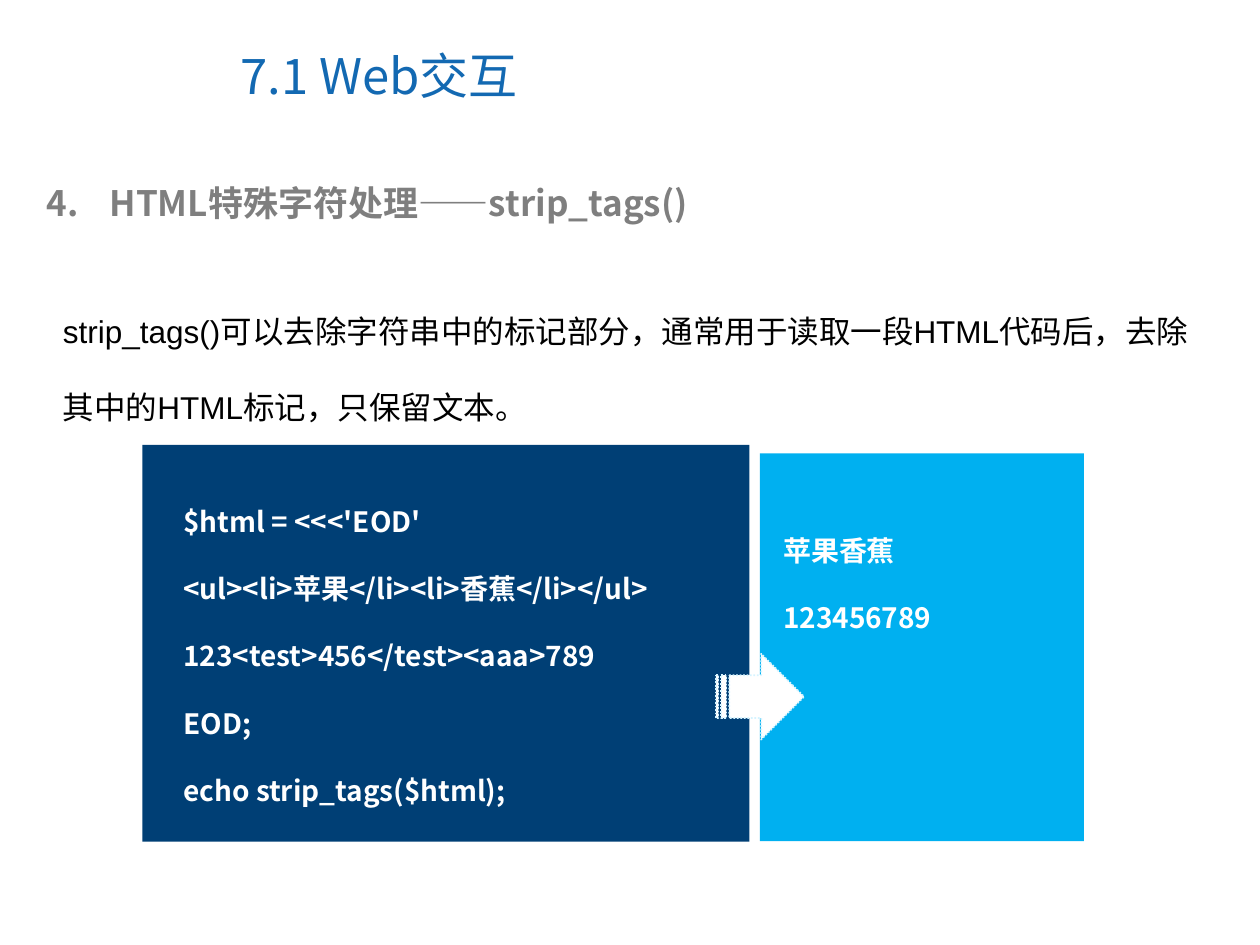
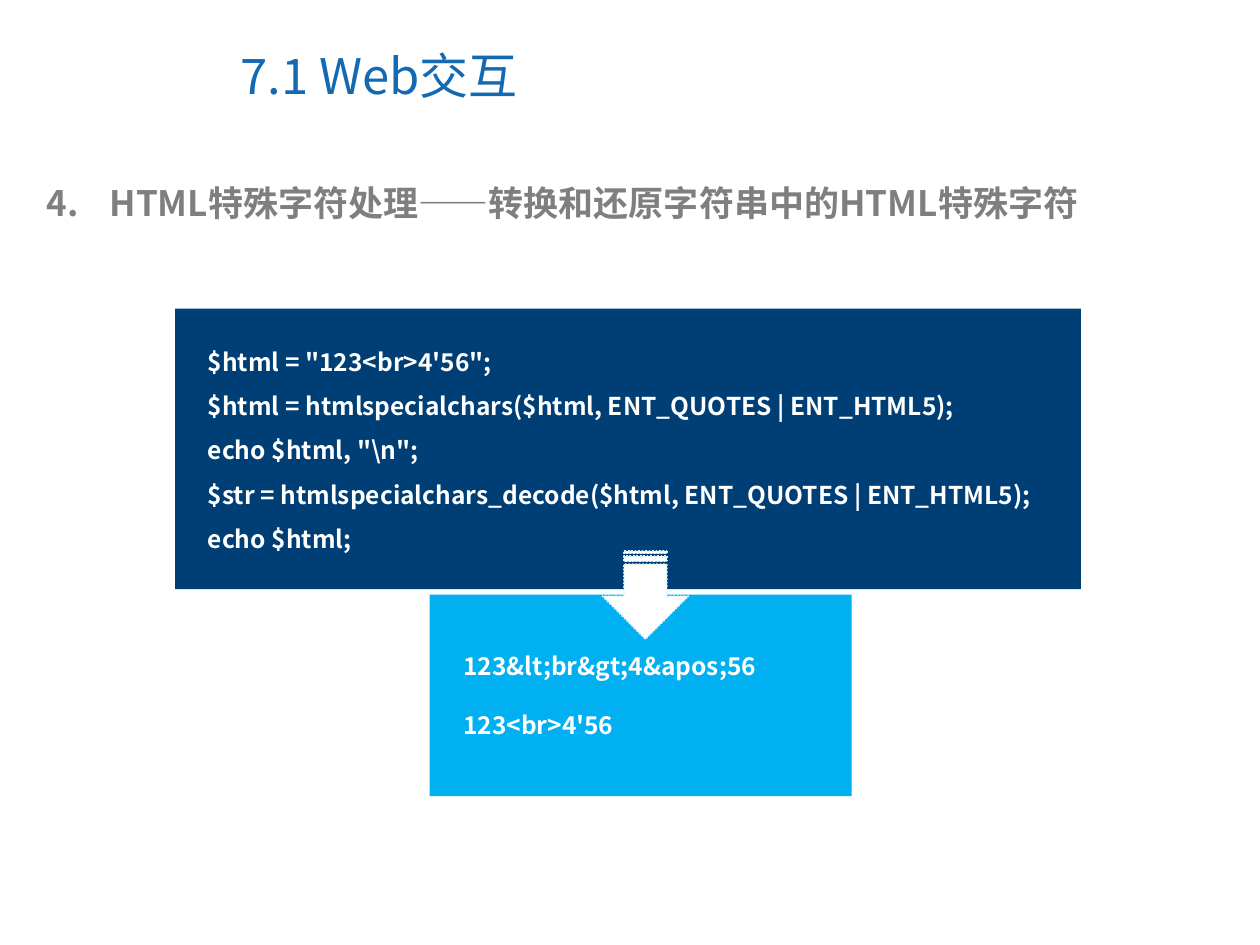
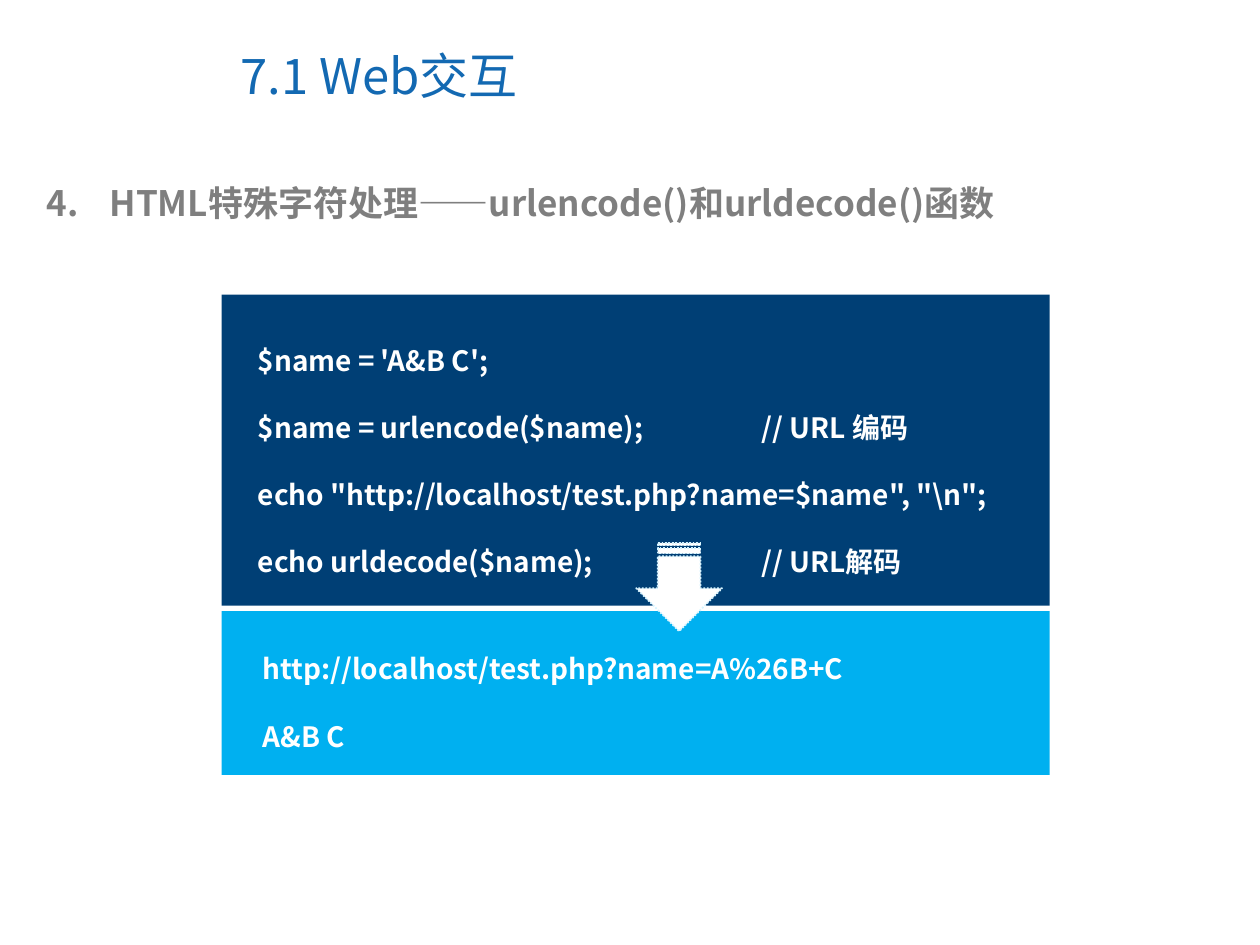
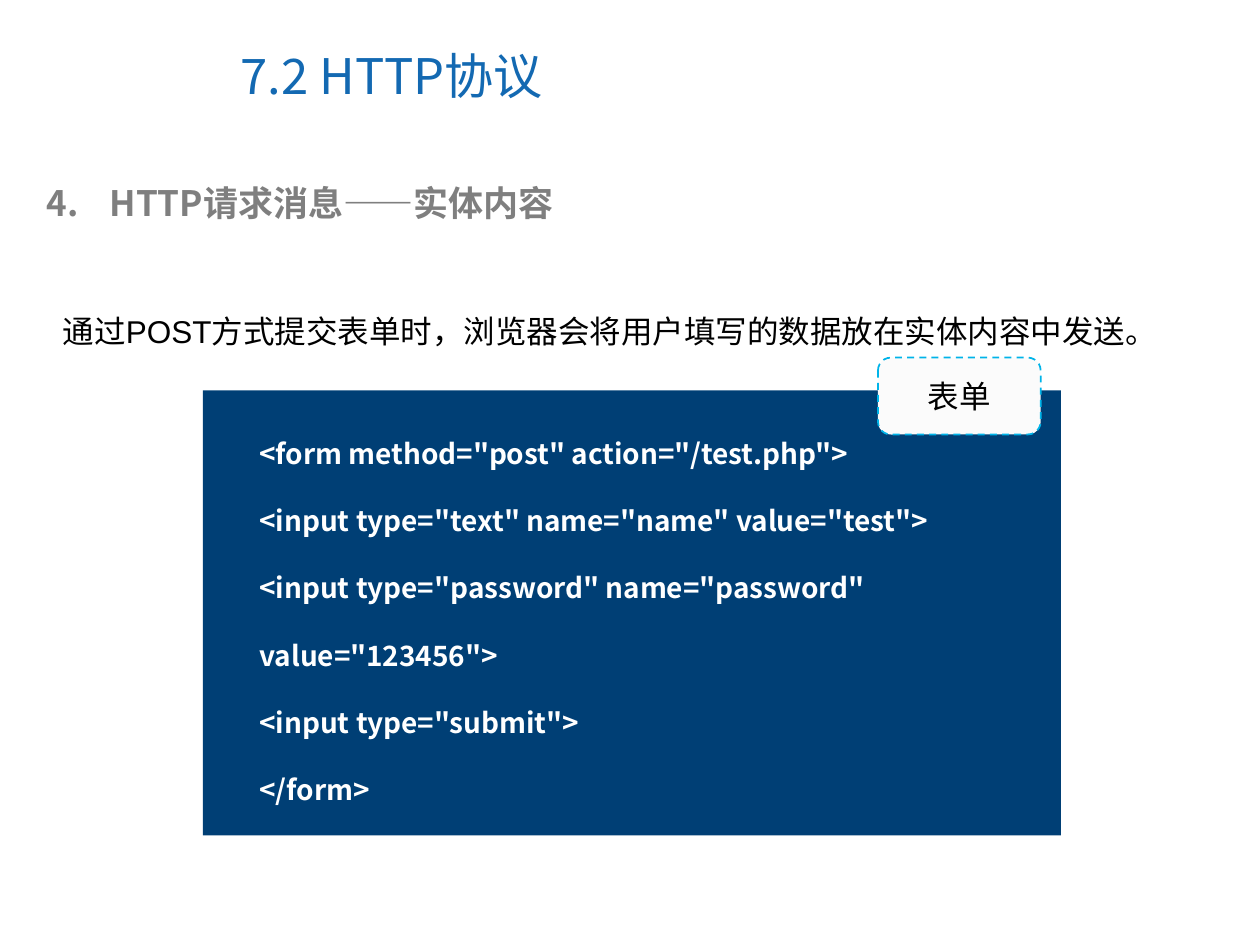
from dataclasses import dataclass
from typing import Optional

from lxml import etree
from pptx import Presentation
from pptx.dml.color import RGBColor
from pptx.enum.dml import MSO_LINE
from pptx.enum.shapes import MSO_SHAPE
from pptx.enum.text import MSO_ANCHOR, MSO_AUTO_SIZE, PP_ALIGN
from pptx.oxml.ns import qn
from pptx.util import Cm, Pt

RECTANGLE = MSO_SHAPE.RECTANGLE
ROUNDED = MSO_SHAPE.ROUNDED_RECTANGLE
STRIPED_ARROW = MSO_SHAPE.STRIPED_RIGHT_ARROW
DASH = MSO_LINE.DASH
SQUARE_DOT = MSO_LINE.ROUND_DOT
LEFT, CENTER = PP_ALIGN.LEFT, PP_ALIGN.CENTER
MIDDLE = MSO_ANCHOR.MIDDLE
FIT_SHAPE, FIXED = MSO_AUTO_SIZE.SHAPE_TO_FIT_TEXT, MSO_AUTO_SIZE.NONE
TITLE_ONLY = 5


@dataclass(frozen=True)
class TextStyle:
    font: str
    size: float
    color: str
    bold: bool = False


@dataclass(frozen=True)
class Theme:
    title = TextStyle("Noto Sans CJK SC", 28, "1369B2")
    heading = TextStyle("Noto Sans CJK SC", 20, "7F7F7F", True)
    body = TextStyle("Arial", 18, "000000")
    code = TextStyle("Noto Sans CJK SC", 16, "FFFFFF", True)
    small_code = TextStyle("Noto Sans CJK SC", 14, "FFFFFF", True)
    code_fill = "003F75"
    output_fill = "00B0F0"
    arrow_fill = "FFFFFF"
    arrow_line = "D5F4FF"
    tag_fill = "FBFBFB"
    tag_line = "00B4E9"


THEME = Theme()


@dataclass(frozen=True)
class Box:
    """A place on the slide, in centimetres."""
    left: float
    top: float
    width: float
    height: float

    def place(self) -> tuple:
        return Cm(self.left), Cm(self.top), Cm(self.width), Cm(self.height)


TITLE_BOX = Box(4.6, 0.43, 13.11, 2.16)
HEADING_BOX = Box(0.69, 3.53, 23.42, 1.12)
HEADING_INDENT = Cm(1.27)
HEADING_NUMBER = 4
INTRO_LEFT, INTRO_TOP, INTRO_WIDTH = 1.02, 5.41, 23.34
ARROW_WIDTH, ARROW_HEIGHT = 1.78, 1.73
TAB_STOPS = (Cm(7.62), Cm(10.16))


@dataclass(frozen=True)
class Panel:
    """A coloured block with lines of code or output."""
    frame: Box
    text_box: Box
    fill: str
    lines: tuple[str, ...]
    style: TextStyle = THEME.code
    spacing: float = 2


@dataclass(frozen=True)
class Arrow:
    left: float
    top: float
    rotation: int = 90


@dataclass(frozen=True)
class Tag:
    box: Box
    label: str


@dataclass(frozen=True)
class Lesson:
    title: str
    heading: str
    panels: tuple[Panel, ...]
    intro: str = ""
    intro_height: float = 0
    arrow: Optional[Arrow] = None
    tag: Optional[Tag] = None


LESSONS = (
    Lesson(
        "7.1 Web交互",
        "HTML特殊字符处理——strip_tags()",
        (
            Panel(Box(2.87, 8.97, 12.24, 8), Box(3.45, 9.37, 11.66, 7.04), THEME.code_fill, (
                "$html = <<<'EOD'",
                "<ul><li>苹果</li><li>香蕉</li></ul>",
                "123<test>456</test><aaa>789",
                "EOD;",
                "echo strip_tags($html);",
            )),
            Panel(Box(15.32, 9.14, 6.53, 7.82), Box(15.54, 9.96, 6.3, 2.97), THEME.output_fill,
                  ("苹果香蕉", "123456789")),
        ),
        intro="strip_tags()可以去除字符串中的标记部分，通常用于读取一段HTML代码后，"
              "去除其中的HTML标记，只保留文本。",
        intro_height=3.3,
        arrow=Arrow(14.43, 13.18, rotation=0),
    ),
    Lesson(
        "7.1 Web交互",
        "HTML特殊字符处理——转换和还原字符串中的HTML特殊字符",
        (
            Panel(Box(3.53, 6.22, 18.26, 5.66), Box(3.94, 6.58, 17.58, 4.7), THEME.code_fill, (
                "$html = \"123<br>4'56\";",
                "$html = htmlspecialchars($html, ENT_QUOTES | ENT_HTML5);",
                'echo $html, "\\n";',
                "$str = htmlspecialchars_decode($html, ENT_QUOTES | ENT_HTML5);",
                "echo $html;",
            ), THEME.small_code, 1.5),
            Panel(Box(8.66, 11.99, 8.51, 4.06), Box(9.09, 12.4, 8.1, 2.64), THEME.output_fill,
                  ("123&lt;br&gt;4&apos;56", "123<br>4'56"), THEME.small_code),
        ),
        arrow=Arrow(12.12, 11.13),
    ),
    Lesson(
        "7.1 Web交互",
        "HTML特殊字符处理——urlencode()和urldecode()函数",
        (
            Panel(Box(4.47, 5.94, 16.69, 6.27), Box(4.95, 6.12, 16.21, 5.69), THEME.code_fill, (
                "$name = 'A&B C';",
                "$name = urlencode($name);\t// URL 编码",
                'echo "http://localhost/test.php?name=$name", "\\n";',
                "echo urldecode($name);\t\t// URL解码",
            )),
            Panel(Box(4.47, 12.32, 16.69, 3.3), Box(5.05, 12.34, 16.1, 2.97), THEME.output_fill,
                  ("http://localhost/test.php?name=A%26B+C", "A&B C")),
        ),
        arrow=Arrow(12.8, 10.97),
    ),
    Lesson(
        "7.2 HTTP协议",
        "HTTP请求消息——实体内容",
        (
            Panel(Box(4.09, 7.87, 17.3, 8.97), Box(4.98, 8, 16.41, 8.38), THEME.code_fill, (
                '<form method="post" action="/test.php">',
                '<input type="text" name="name" value="test">',
                '<input type="password" name="password" value="123456">',
                '<input type="submit">',
                "</form>",
            )),
        ),
        intro="通过POST方式提交表单时，浏览器会将用户填写的数据放在实体内容中发送。",
        intro_height=1.78,
        tag=Tag(Box(17.7, 7.21, 3.28, 1.55), "表单"),
    ),
)


def write(frame, text: str, style: TextStyle, spacing: float = 1, align=LEFT) -> None:
    frame.text = text
    frame.word_wrap = True
    for paragraph in frame.paragraphs:
        paragraph.alignment = align
        paragraph.line_spacing = spacing
        for run in paragraph.runs:
            font = run.font
            font.size, font.bold = Pt(style.size), style.bold
            font.color.rgb = RGBColor.from_string(style.color)
            font.name = style.font
            east_asian = etree.SubElement(run._r.get_or_add_rPr(), qn("a:ea"))
            east_asian.set("typeface", style.font)


def add_text(shapes, box: Box, text: str, style: TextStyle, spacing: float = 1):
    frame = shapes.add_textbox(*box.place()).text_frame
    write(frame, text, style, spacing)
    frame.auto_size = FIT_SHAPE
    return frame


def add_filled(shapes, preset, box: Box, fill: str, line: str = "", dash=None):
    shape = shapes.add_shape(preset, *box.place())
    shape.shadow.inherit = False
    shape.fill.solid()
    shape.fill.fore_color.rgb = RGBColor.from_string(fill)
    if line:
        shape.line.color.rgb = RGBColor.from_string(line)
        shape.line.width = Pt(1)
        shape.line.dash_style = dash
    else:
        shape.line.fill.background()
    return shape


def number_paragraph(paragraph, start: int, color: str) -> None:
    properties = paragraph._p.get_or_add_pPr()
    properties.set("marL", str(HEADING_INDENT))
    properties.set("indent", str(-HEADING_INDENT))
    bullet_color = etree.SubElement(properties, qn("a:buClr"))
    etree.SubElement(bullet_color, qn("a:srgbClr")).set("val", color)
    numbering = etree.SubElement(properties, qn("a:buAutoNum"))
    numbering.set("type", "arabicPeriod")
    numbering.set("startAt", str(start))


def add_tab_stops(paragraph) -> None:
    stops = etree.SubElement(paragraph._p.get_or_add_pPr(), qn("a:tabLst"))
    for position in TAB_STOPS:
        stop = etree.SubElement(stops, qn("a:tab"))
        stop.set("pos", str(position))
        stop.set("algn", "l")


def add_panel(slide, panel: Panel) -> None:
    shapes = slide.shapes.add_group_shape().shapes
    add_filled(shapes, RECTANGLE, panel.frame, panel.fill)
    listing = add_text(shapes, panel.text_box, "\n".join(panel.lines), panel.style, panel.spacing)
    for paragraph in listing.paragraphs:
        if "\t" in paragraph.text:
            add_tab_stops(paragraph)


def add_title(slide, text: str) -> None:
    title = slide.shapes.title
    title.left, title.top, title.width, title.height = TITLE_BOX.place()
    write(title.text_frame, text, THEME.title)
    title.text_frame.vertical_anchor = MIDDLE
    title.text_frame.auto_size = FIXED


def add_arrow(slide, arrow: Arrow) -> None:
    box = Box(arrow.left, arrow.top, ARROW_WIDTH, ARROW_HEIGHT)
    shape = add_filled(slide.shapes, STRIPED_ARROW, box, THEME.arrow_fill,
                       THEME.arrow_line, SQUARE_DOT)
    shape.rotation = arrow.rotation


def add_tag(slide, tag: Tag) -> None:
    shape = add_filled(slide.shapes, ROUNDED, tag.box, THEME.tag_fill, THEME.tag_line, DASH)
    write(shape.text_frame, tag.label, THEME.body, align=CENTER)
    shape.text_frame.vertical_anchor = MIDDLE


def add_lesson(deck, lesson: Lesson) -> None:
    slide = deck.slides.add_slide(deck.slide_layouts[TITLE_ONLY])
    add_title(slide, lesson.title)
    heading = add_text(slide.shapes, HEADING_BOX, lesson.heading, THEME.heading)
    number_paragraph(heading.paragraphs[0], HEADING_NUMBER, THEME.heading.color)
    if lesson.intro:
        intro_box = Box(INTRO_LEFT, INTRO_TOP, INTRO_WIDTH, lesson.intro_height)
        add_text(slide.shapes, intro_box, lesson.intro, THEME.body, spacing=2)
    for panel in lesson.panels:
        add_panel(slide, panel)
    if lesson.arrow:
        add_arrow(slide, lesson.arrow)
    if lesson.tag:
        add_tag(slide, lesson.tag)


def main() -> None:
    deck = Presentation()
    deck.slide_width, deck.slide_height = Cm(25.4), Cm(19.05)
    for lesson in LESSONS:
        add_lesson(deck, lesson)
    deck.save("out.pptx")


if __name__ == "__main__":
    main()
